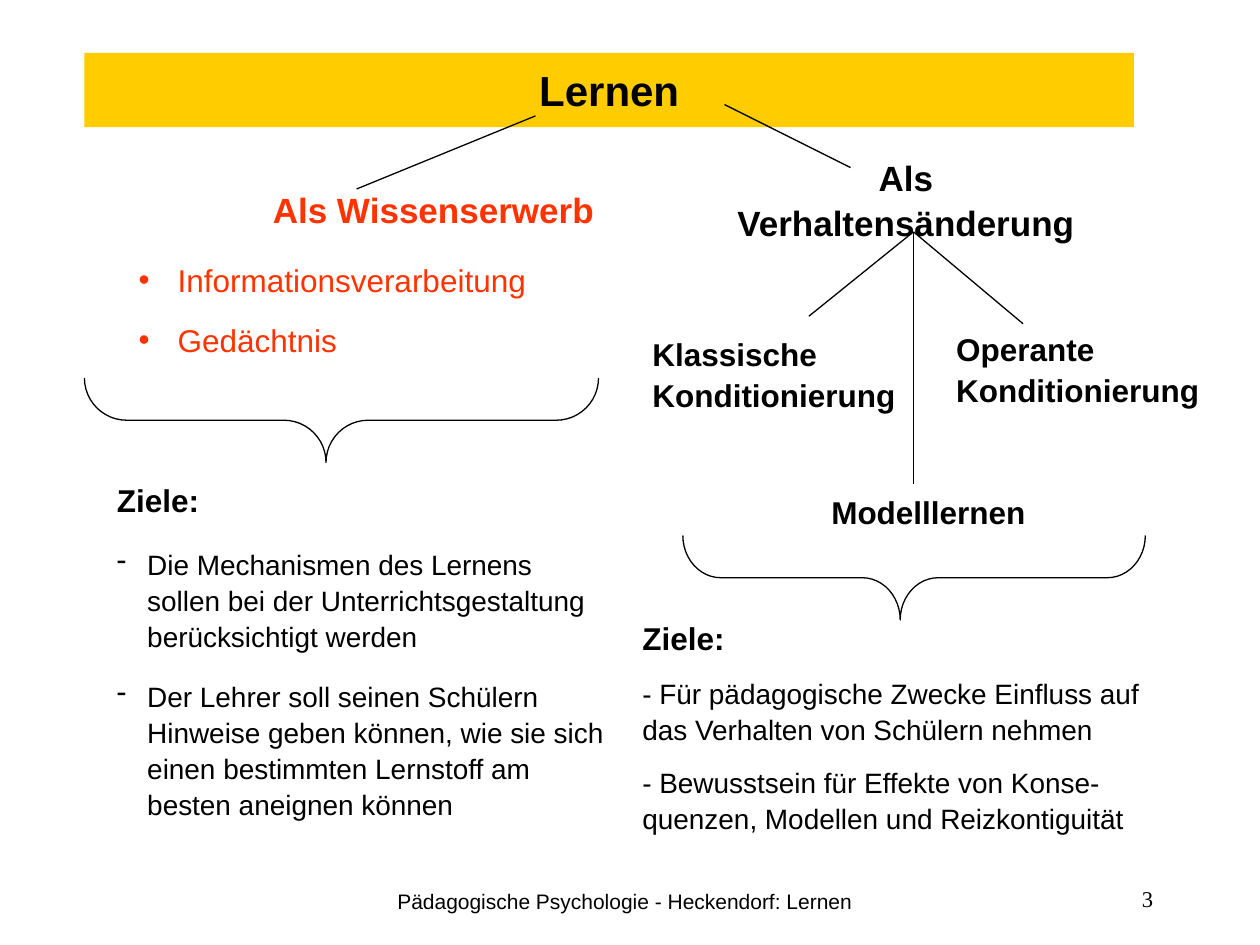
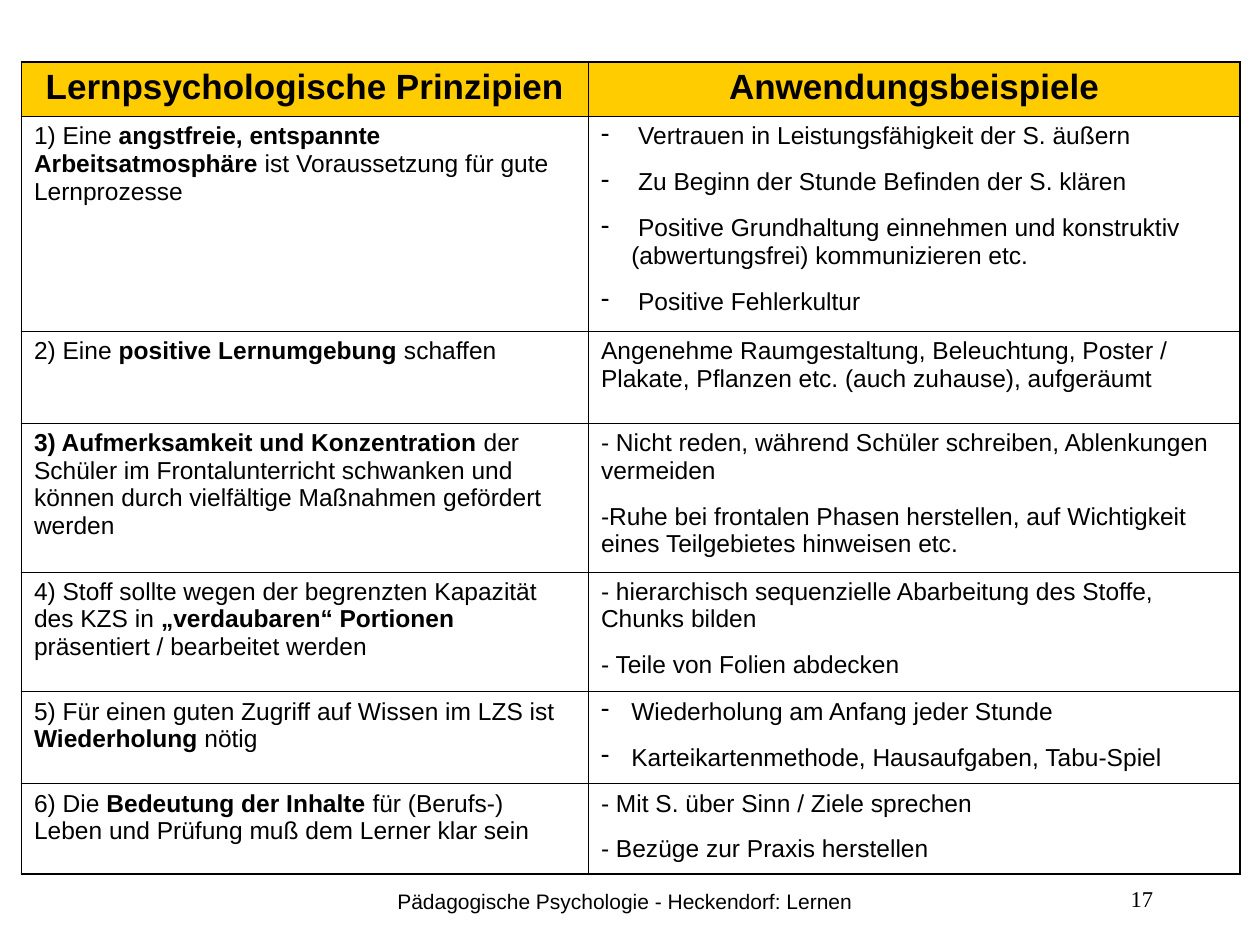
from lxml import etree
from pptx import Presentation
from pptx.dml.color import RGBColor
from pptx.enum.shapes import MSO_CONNECTOR as Connector, MSO_SHAPE as Shape
from pptx.enum.text import MSO_ANCHOR as Anchor, PP_ALIGN as Align
from pptx.oxml.ns import qn
from pptx.util import Inches, Pt

BLACK, WHITE, YELLOW, RED = "000000", "FFFFFF", "FFCC00", "FF3300"
SANS, SERIF = "Arial", "Times New Roman"
FOOTER = "Pädagogische Psychologie - Heckendorf: Lernen"
HANGING = 0.24
TITLE_AND_BODY, BLANK = 1, 6

SUBTITLE = {"size": 20, "bold": True, "spacing": 1.07}
BRANCH = {"size": 18, "bold": True, "spacing": 1.07}
GOAL = {"size": 16, "spacing": 1.07}

HEADINGS = ["Lernpsychologische Prinzipien", "Anwendungsbeispiele"]
COLUMN_WIDTHS = [4.5, 5.17]
ROW_HEIGHTS = [0.43, 1.7, 0.73, 1.18, 0.95, 0.73, 0.72]
# Each row: principle (** marks bold), whether its examples are bulleted, examples
PRINCIPLES = [
    ("1) Eine **angstfreie, entspannte Arbeitsatmosphäre** ist Voraussetzung für gute Lernprozesse",
     True,
     [" Vertrauen in Leistungsfähigkeit der S. äußern",
      " Zu Beginn der Stunde Befinden der S. klären",
      " Positive Grundhaltung einnehmen und konstruktiv (abwertungsfrei) kommunizieren etc.",
      " Positive Fehlerkultur"]),
    ("2) Eine **positive Lernumgebung** schaffen",
     False,
     ["Angenehme Raumgestaltung, Beleuchtung, Poster / Plakate, Pflanzen etc. "
      "(auch zuhause), aufgeräumt"]),
    ("**3) Aufmerksamkeit und Konzentration** der Schüler im Frontalunterricht schwanken "
     "und können durch vielfältige Maßnahmen gefördert werden",
     False,
     ["- Nicht reden, während Schüler schreiben, Ablenkungen vermeiden",
      "-Ruhe bei frontalen Phasen herstellen, auf Wichtigkeit eines Teilgebietes hinweisen etc."]),
    ("4) Stoff sollte wegen der begrenzten Kapazität des KZS in "
     "**„verdaubaren“ Portionen** präsentiert / bearbeitet werden",
     False,
     ["- hierarchisch sequenzielle Abarbeitung des Stoffe, Chunks bilden",
      "- Teile von Folien abdecken"]),
    ("5) Für einen guten Zugriff auf Wissen im LZS ist **Wiederholung** nötig",
     True,
     ["Wiederholung am Anfang jeder Stunde",
      "Karteikartenmethode, Hausaufgaben, Tabu-Spiel"]),
    ("6) Die **Bedeutung der Inhalte** für (Berufs-) Leben und Prüfung muß dem Lerner klar sein",
     False,
     ["- Mit S. über Sinn / Ziele sprechen",
      "- Bezüge zur Praxis herstellen"]),
]


def rgb(color):
    return RGBColor.from_string(color)


def place(shape, left, top, width, height):
    frame = {"left": left, "top": top, "width": width, "height": height}
    for name, value in frame.items():
        setattr(shape, name, Inches(value))


def add_bullet(para, mark):
    props = para._p.get_or_add_pPr()
    props.set("marL", str(Inches(HANGING)))
    props.set("indent", str(-Inches(HANGING)))
    etree.SubElement(props, qn("a:buChar")).set("char", mark)


def set_border(cell, side, points):
    line = etree.SubElement(cell._tc.get_or_add_tcPr(), qn(f"a:ln{side}"))
    line.set("w", str(Pt(points)))
    fill = etree.SubElement(line, qn("a:solidFill"))
    etree.SubElement(fill, qn("a:srgbClr")).set("val", BLACK)


class Deck:
    """Holds the presentation, its common style and the current page."""

    def __init__(self):
        self.file = Presentation()
        self.file.slide_width, self.file.slide_height = Inches(10), Inches(7.5)
        self.page = None

    def new_page(self, number, layout):
        self.page = self.file.slides.add_slide(self.file.slide_layouts[layout])
        self.text((2.75, 7, 4.42, 0.33), [FOOTER], size=12, align=Align.CENTER)
        self.text((7.17, 7, 2.08, 0.33), [str(number)], size=12.9, font=SERIF,
                  align=Align.RIGHT, spacing=0.9)

    def fill_frame(self, frame, paragraphs, **style):
        """Fill a text frame; a paragraph is a string or (string, own style)."""
        frame.word_wrap = True
        for index, item in enumerate(paragraphs):
            text, own = (item, {}) if isinstance(item, str) else item
            look = {"size": 18, "font": SANS, "color": BLACK, "bold": False, "before": 0,
                    "align": Align.LEFT, "spacing": 1.0, "bullet": None, **style, **own}
            para = frame.paragraphs[0] if index == 0 else frame.add_paragraph()
            if look["bullet"]:
                add_bullet(para, look["bullet"])
            layout = {"alignment": look["align"], "line_spacing": look["spacing"],
                      "space_before": Pt(look["before"] if index else 0),
                      "space_after": Pt(0)}
            for name, value in layout.items():
                setattr(para, name, value)
            for part, piece in enumerate(text.split("**")):
                if piece:
                    self.add_span(para, piece, look, look["bold"] or part % 2 == 1)

    def add_span(self, para, text, look, bold):
        span = para.add_run()
        span.text = text
        form = {"name": look["font"], "size": Pt(look["size"]), "bold": bold}
        for name, value in form.items():
            setattr(span.font, name, value)
        span.font.color.rgb = rgb(look["color"])

    def text(self, area, paragraphs, **style):
        box = self.page.shapes.add_textbox(*map(Inches, area))
        self.fill_frame(box.text_frame, paragraphs, **style)

    def title(self, text):
        band = self.page.shapes.title
        place(band, 0.67, 0.42, 8.33, 0.59)
        band.fill.solid()
        band.fill.fore_color.rgb = rgb(YELLOW)
        band.text_frame.vertical_anchor = Anchor.MIDDLE
        self.fill_frame(band.text_frame, [text], size=24, bold=True, align=Align.CENTER)

    def body(self, area, paragraphs, **style):
        box = self.page.placeholders[1]
        place(box, *area)
        self.fill_frame(box.text_frame, paragraphs, **style)

    def line(self, start, end):
        line = self.page.shapes.add_connector(
            Connector.STRAIGHT, *map(Inches, (*start, *end)))
        line.line.color.rgb = rgb(BLACK)
        line.line.width = Pt(0.75)
        etree.SubElement(line._element.spPr, qn("a:effectLst"))

    def brace(self, left, top, length, curve):
        """Draw a brace that opens upwards, its tip just left of the middle."""
        depth = 0.67
        shift = (length - depth) / 2
        brace = self.page.shapes.add_shape(
            Shape.LEFT_BRACE, Inches(left + shift), Inches(top - shift),
            Inches(depth), Inches(length))
        brace.rotation = 270
        brace.adjustments[0], brace.adjustments[1] = curve, 0.47
        brace.shadow.inherit = False
        brace.fill.background()
        brace.line.color.rgb = rgb(BLACK)
        brace.line.width = Pt(0.75)

    def table(self, left, top, widths, heights):
        area = (left, top, sum(widths), sum(heights))
        table = self.page.shapes.add_table(
            len(heights), len(widths), *map(Inches, area)).table
        table.first_row = table.horz_banding = False
        for column, width in zip(table.columns, widths):
            column.width = Inches(width)
        for row, height in zip(table.rows, heights):
            row.height = Inches(height)
        return table

    def cell(self, table, row, column, paragraphs, fill=WHITE, **style):
        cell = table.cell(row, column)
        outer = {"L": column == 0, "R": column == len(table.columns) - 1,
                 "T": row == 0, "B": row == len(table.rows) - 1}
        for side, is_outer in outer.items():
            set_border(cell, side, 1.08 if is_outer else 0.45)
        cell.fill.solid()
        cell.fill.fore_color.rgb = rgb(fill)
        self.fill_frame(cell.text_frame, paragraphs, **style)


def build_overview(deck):
    deck.new_page(3, TITLE_AND_BODY)
    deck.title("Lernen")
    deck.line((4.25, 0.92), (2.83, 1.5))
    deck.line((5.75, 0.83), (6.75, 1.33))

    deck.text((1.92, 1.42, 3.04, 0.44), ["Als Wissenserwerb"],
              color=RED, align=Align.CENTER, **SUBTITLE)
    deck.body((1, 2, 3.67, 0.86), [" Informationsverarbeitung", " Gedächtnis"],
              color=RED, bullet="•", before=11.2, spacing=1.07)
    deck.brace(0.67, 3, 4.08, 0.5)
    deck.text((0.83, 3.75, 4.08, 2.67), [
        ("Ziele:", BRANCH),
        ("Die Mechanismen des Lernens sollen bei der Unterrichtsgestaltung "
         "berücksichtigt werden", {"bullet": "-", "before": 14.8}),
        ("Der Lehrer soll seinen Schülern Hinweise geben können, wie sie sich einen "
         "bestimmten Lernstoff am besten aneignen können", {"bullet": "-", "before": 14}),
    ], **GOAL)

    deck.text((5.67, 1.17, 3.04, 0.77), ["Als Verhaltensänderung"],
              align=Align.CENTER, **SUBTITLE)
    for end in [(6.42, 2.51), (8.12, 2.57), (7.25, 3.84)]:
        deck.line((7.25, 1.84), end)
    deck.text((5.08, 2.59, 2.17, 0.7), ["Klassische Konditionierung"], **BRANCH)
    deck.text((7.49, 2.55, 2.17, 0.7), ["Operante Konditionierung"], **BRANCH)
    deck.text((6.5, 3.84, 2, 0.4), ["Modelllernen"], **BRANCH)
    deck.brace(5.42, 4.25, 3.67, 0.45)
    deck.text((5, 4.84, 4.17, 1.75), [
        ("Ziele:", BRANCH),
        "- Für pädagogische Zwecke Einfluss auf das Verhalten von Schülern nehmen",
        "- Bewusstsein für Effekte von Konse-quenzen, Modellen und Reizkontiguität",
    ], before=10, **GOAL)


def build_principles(deck):
    deck.new_page(17, BLANK)
    table = deck.table(0.17, 0.49, COLUMN_WIDTHS, ROW_HEIGHTS)
    for column, heading in enumerate(HEADINGS):
        deck.cell(table, 0, column, [heading], fill=YELLOW,
                  size=20, bold=True, align=Align.CENTER)
    for row, (principle, bulleted, examples) in enumerate(PRINCIPLES, start=1):
        deck.cell(table, row, 0, [principle], size=14)
        deck.cell(table, row, 1, examples, size=14, before=10.5,
                  bullet="-" if bulleted else None)


def main():
    deck = Deck()
    build_overview(deck)
    build_principles(deck)
    deck.file.save("out.pptx")


if __name__ == "__main__":
    main()
